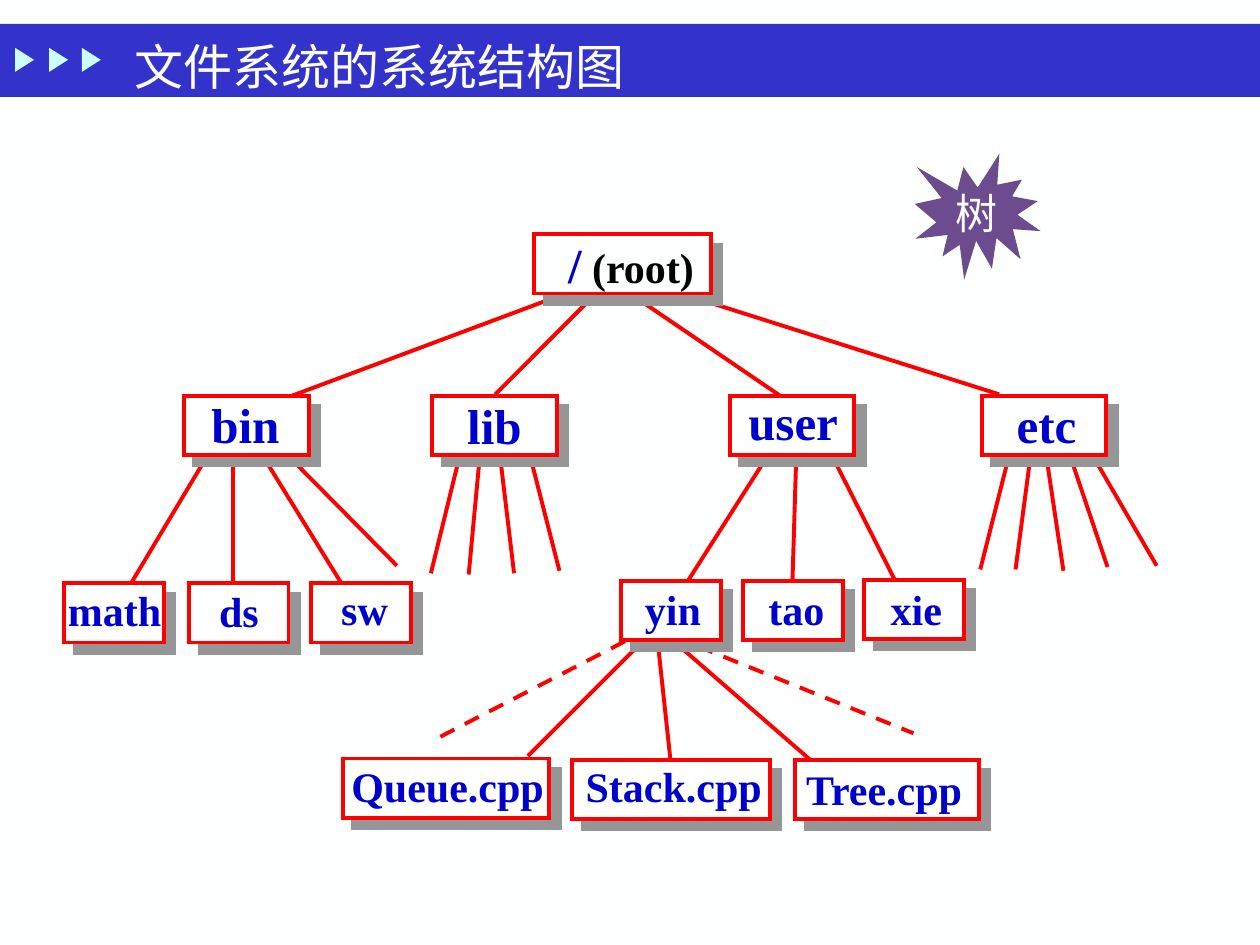
from dataclasses import dataclass

from lxml.etree import SubElement
from pptx import Presentation
from pptx.dml.color import RGBColor
from pptx.enum.dml import MSO_LINE
from pptx.enum.shapes import MSO_CONNECTOR, MSO_SHAPE
from pptx.enum.text import MSO_ANCHOR, MSO_AUTO_SIZE, PP_ALIGN
from pptx.oxml.ns import qn
from pptx.util import Inches, Pt


@dataclass(frozen=True)
class Theme:
    font: str = "Times New Roman"
    paper: str = "FEFFFF"
    banner: str = "3333CC"
    arrow: str = "CBFFFF"
    seal: str = "6C4C8F"
    edge: str = "FF0000"
    label: str = "0000CC"
    note: str = "000000"
    shade: str = "969696"
    big: int = 28
    small: int = 24
    stroke: float = 2.25


THEME = Theme()
TITLE = "文件系统的系统结构图"
BADGE = "树"
BOX_H = 0.47
LABEL_H = {THEME.big: 0.57, THEME.small: 0.5}

# Each level: type size, box width, nodes of
# (name, box left, box top, label left, label top, label width)
LEVELS = [
    (THEME.big, 1.4, [("/", 4.24, 1.86, 4.41, 1.81, 1.21)]),
    (THEME.big, 0.99, [("bin", 1.46, 3.14, 1.58, 3.08, 0.74),
                       ("lib", 3.43, 3.14, 3.61, 3.09, 0.63),
                       ("user", 5.79, 3.14, 5.84, 3.06, 0.91),
                       ("etc", 7.79, 3.14, 7.97, 3.08, 0.68)]),
    (THEME.small, 0.79, [("math", 0.51, 4.63, 0.44, 4.59, 0.94),
                         ("ds", 1.5, 4.63, 1.64, 4.6, 0.52),
                         ("sw", 2.47, 4.63, 2.61, 4.58, 0.57),
                         ("yin", 4.93, 4.61, 5.02, 4.58, 0.65),
                         ("tao", 5.9, 4.61, 6, 4.58, 0.65),
                         ("xie", 6.86, 4.6, 6.97, 4.58, 0.61)]),
    (THEME.small, 1.64, [("Queue.cpp", 2.72, 6.02, 2.69, 5.99, 1.73)]),
    (THEME.small, 1.57, [("Stack.cpp", 4.54, 6.03, 4.55, 5.99, 1.6)]),
    (THEME.small, 1.46, [("Tree.cpp", 6.31, 6.03, 6.3, 6.01, 1.47)]),
]
NOTES = {"/": " (root)"}

# Branches by parent: start x, start y, end x, end y
BRANCHES = {
    "/": [(4.46, 2.34, 2.32, 3.14), (4.72, 2.34, 3.93, 3.13),
          (5.03, 2.35, 6.22, 3.16), (5.47, 2.35, 7.93, 3.13)],
    "bin": [(1.65, 3.61, 1.04, 4.63), (1.85, 3.61, 1.85, 4.63),
            (2.08, 3.61, 2.71, 4.63), (2.28, 3.61, 3.15, 4.49)],
    "lib": [(3.65, 3.61, 3.42, 4.55), (3.81, 3.6, 3.72, 4.56),
            (3.97, 3.63, 4.08, 4.55), (4.21, 3.63, 4.44, 4.53)],
    "user": [(6.11, 3.59, 5.46, 4.61), (6.32, 3.61, 6.29, 4.6),
             (6.6, 3.61, 7.1, 4.6)],
    "etc": [(8.01, 3.61, 7.78, 4.52), (8.18, 3.61, 8.06, 4.52),
            (8.31, 3.66, 8.44, 4.53), (8.5, 3.64, 8.79, 4.5),
            (8.68, 3.63, 9.18, 4.49)],
    "yin": [(5.12, 5.07, 4.19, 6), (5.22, 5.09, 5.32, 6.02),
            (5.36, 5.1, 6.43, 6.03)],
}
DASHED = {"yin": [(4.96, 5.09, 3.47, 5.86), (5.54, 5.13, 7.25, 5.82)]}


def rgb(color):
    return RGBColor.from_string(color)


def style(font, size, color, bold=False):
    font.name, font.size, font.bold = THEME.font, Pt(size), bold
    font.color.rgb = rgb(color)


def add_shape(slide, kind, place, fill):
    shape = slide.shapes.add_shape(kind, *map(Inches, place))
    shape.shadow.inherit = False
    shape.fill.solid()
    shape.fill.fore_color.rgb = rgb(fill)
    shape.line.fill.background()
    return shape


def stroke(line):
    line.color.rgb = rgb(THEME.edge)
    line.width = Pt(THEME.stroke)


def cast_shadow(shape):
    """Give a shape a hard shadow to its lower right."""
    effects = shape._element.spPr.find(qn("a:effectLst"))
    shadow = SubElement(effects, qn("a:outerShdw"), dist=str(Pt(8.5)),
                        dir=str(45 * 60000), algn="ctr", rotWithShape="0")
    SubElement(shadow, qn("a:srgbClr"), val=THEME.shade)


def add_branch(slide, ends, dash):
    branch = slide.shapes.add_connector(
        MSO_CONNECTOR.STRAIGHT, *map(Inches, ends))
    SubElement(branch._element.spPr, qn("a:effectLst"))
    stroke(branch.line)
    if dash:
        branch.line.dash_style = MSO_LINE.DASH


def add_box(slide, place):
    box = add_shape(slide, MSO_SHAPE.RECTANGLE, place, THEME.paper)
    stroke(box.line)
    SubElement(box._element.spPr.find(qn("a:ln")), qn("a:miter"), lim="800000")
    cast_shadow(box)


def add_label(slide, name, place, size):
    label = slide.shapes.add_textbox(*map(Inches, place))
    frame = label.text_frame
    frame.word_wrap = False
    frame.auto_size = MSO_AUTO_SIZE.SHAPE_TO_FIT_TEXT
    para = frame.paragraphs[0]
    style(para.font, size, THEME.label, True)
    para.add_run().text = name
    if name in NOTES:
        run = para.add_run()
        run.text = NOTES[name]
        style(run.font, THEME.small, THEME.note, True)
        style(para.runs[0].font, size, THEME.label, True)


def add_header(slide):
    title = slide.shapes.title
    parts = [add_shape(slide, MSO_SHAPE.RECTANGLE, (0, 0.19, 10, 0.58),
                       THEME.banner)]
    for left in (0.1, 0.37, 0.63):
        arrow = add_shape(slide, MSO_SHAPE.ISOSCELES_TRIANGLE,
                          (left, 0.4, 0.19, 0.15), THEME.arrow)
        arrow.rotation = 90
        parts.append(arrow)
    for part in parts:  # keep the title in front of its banner
        title._element.addprevious(part._element)

    title.left, title.top = Inches(0.78), Inches(0.23)
    title.width, title.height = Inches(4.3), Inches(0.58)
    frame = title.text_frame
    frame.text = TITLE
    frame.word_wrap = True
    frame.auto_size = MSO_AUTO_SIZE.NONE
    frame.vertical_anchor = MSO_ANCHOR.MIDDLE
    frame.margin_left, frame.margin_right = Inches(0.29), 0
    para = frame.paragraphs[0]
    para.alignment = PP_ALIGN.LEFT
    style(para.font, THEME.big, THEME.paper)


def add_badge(slide):
    seal = add_shape(slide, MSO_SHAPE.EXPLOSION1, (7.26, 1.22, 1, 1),
                     THEME.seal)
    frame = seal.text_frame
    frame.text = BADGE
    frame.word_wrap = False
    frame.vertical_anchor = MSO_ANCHOR.MIDDLE
    para = frame.paragraphs[0]
    para.alignment = PP_ALIGN.CENTER
    style(para.font, THEME.small, THEME.paper)


def add_tree(slide):
    for group, dash in ((DASHED, True), (BRANCHES, False)):
        for fan in group.values():
            for ends in fan:
                add_branch(slide, ends, dash)
    for size, width, nodes in LEVELS:
        for name, left, top, *_ in nodes:
            add_box(slide, (left, top, width, BOX_H))
        for name, _, _, left, top, span in nodes:
            add_label(slide, name, (left, top, span, LABEL_H[size]), size)


def main():
    deck = Presentation()
    deck.slide_width, deck.slide_height = Inches(10), Inches(7.5)
    slide = deck.slides.add_slide(deck.slide_layouts[5])
    slide.background.fill.solid()
    slide.background.fill.fore_color.rgb = rgb(THEME.paper)
    add_header(slide)
    add_badge(slide)
    add_tree(slide)
    deck.save("out.pptx")


if __name__ == "__main__":
    main()
